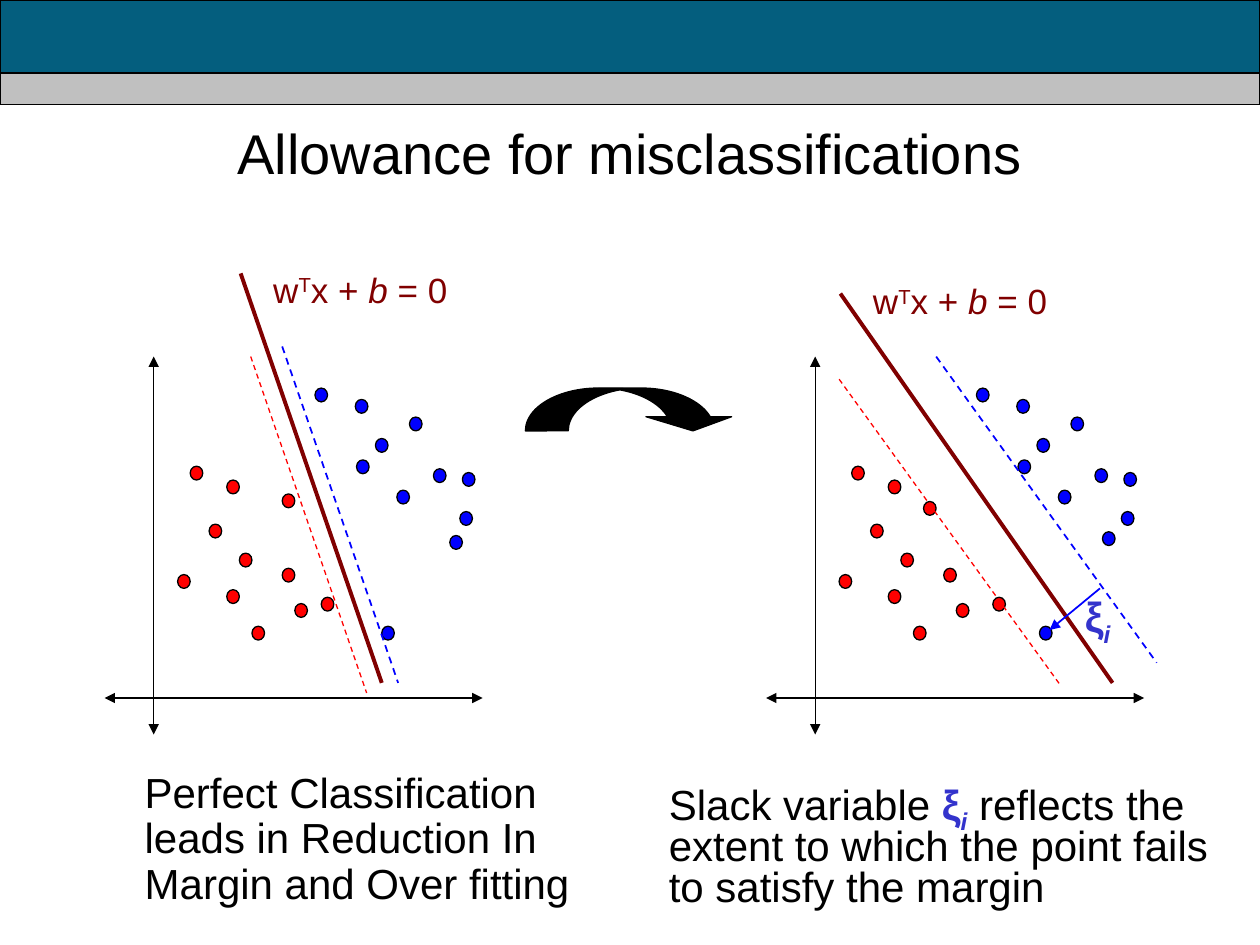
from dataclasses import dataclass

from pptx import Presentation
from pptx.dml.color import RGBColor
from pptx.enum.dml import MSO_LINE
from pptx.enum.shapes import MSO_CONNECTOR, MSO_SHAPE
from pptx.enum.text import MSO_ANCHOR, PP_ALIGN
from pptx.oxml.ns import qn
from pptx.util import Inches, Pt
from lxml import etree

RECT, OVAL, CURVE = MSO_SHAPE.RECTANGLE, MSO_SHAPE.OVAL, MSO_SHAPE.CURVED_DOWN_ARROW
LEFT, MID, RIGHT = PP_ALIGN.LEFT, PP_ALIGN.CENTER, PP_ALIGN.RIGHT
DASH, LINE = MSO_LINE.DASH, MSO_CONNECTOR.STRAIGHT
TOP, CENTER = MSO_ANCHOR.TOP, MSO_ANCHOR.MIDDLE
COLS, ROWS = 100, 75


@dataclass(frozen=True)
class Theme:
    font: str = "Arial"
    ink: str = "000000"
    teal: str = "045E7E"
    gray: str = "C0C0C0"
    red: str = "FF0000"
    blue: str = "0000FF"
    wine: str = "800000"
    slack: str = "3333CC"
    title: int = 32
    body: int = 24
    math: int = 20
    thin: float = 0.75
    mid: float = 1
    bold: float = 2.25


class Deck:
    def __init__(self, theme):
        self.theme = theme
        self.file = Presentation()
        self.file.slide_width = Inches(10)
        self.file.slide_height = Inches(7.5)
        self.page = self.file.slides.add_slide(self.file.slide_layouts[6])

    def grid(self, x, y):
        return (round(x * self.file.slide_width / COLS),
                round(y * self.file.slide_height / ROWS))

    def shape(self, kind, x, y, w, h, fill, ratios=()):
        item = self.page.shapes.add_shape(kind, *self.grid(x, y), *self.grid(w, h))
        item.shadow.inherit = False
        item.fill.solid()
        item.fill.fore_color.rgb = RGBColor.from_string(fill)
        item.line.color.rgb = RGBColor.from_string(self.theme.ink)
        item.line.width = Pt(self.theme.thin)
        for i, ratio in enumerate(ratios):
            item.adjustments[i] = ratio

    def dots(self, spots, shift, fill):
        for x, y in spots:
            self.shape(OVAL, x + shift, y, 1, 1.1, fill)

    def line(self, start, end, color, width, dash=None, ends=()):
        item = self.page.shapes.add_connector(LINE, *self.grid(*start), *self.grid(*end))
        item.line.color.rgb = RGBColor.from_string(color)
        item.line.width = Pt(width)
        if dash:
            item.line.dash_style = dash
        pen = item.line._get_or_add_ln()
        for end in ends:
            etree.SubElement(pen, qn(f"a:{end}"), type="triangle")
        etree.SubElement(item._element.spPr, qn("a:effectLst"))

    def text(self, x, y, w, h, runs, size, align=LEFT, anchor=TOP,
             space=1.0, indent=0.0, wrap=True):
        box = self.page.shapes.add_textbox(*self.grid(x, y), *self.grid(w, h))
        frame = box.text_frame
        frame.word_wrap = wrap
        frame.vertical_anchor = anchor
        para = frame.paragraphs[0]
        para.alignment = align
        para.line_spacing = space
        if indent:
            para._p.get_or_add_pPr().set("marL", str(self.grid(indent, 0)[0]))
        for words, color, bold, slant, base in runs:
            run = para.add_run()
            run.text = words
            font = run.font
            font.name, font.size = self.theme.font, Pt(size)
            font.bold, font.italic = bold, slant
            font.color.rgb = RGBColor.from_string(color)
            if base:
                run._r.get_or_add_rPr().set("baseline", str(base * 1000))

    def plot(self, shift, reds, blues, wall, upper, lower, label):
        t = self.theme
        both = ("headEnd", "tailEnd")
        self.line((12.2 + shift, 28.3), (12.2 + shift, 58.3), t.ink, t.thin, ends=both)
        self.line((8.3 + shift, 55.4), (38.3 + shift, 55.4), t.ink, t.thin, ends=both)
        self.dots(REDS + reds, shift, t.red)
        self.dots(BLUES + blues, shift, t.blue)
        self.line(*wall, t.wine, t.bold)
        self.line(*upper, t.blue, t.mid, DASH)
        self.line(*lower, t.red, t.thin, DASH)
        runs = [plain("w", t.wine), ("T", t.wine, False, False, 30),
                plain("x + ", t.wine), ("b", t.wine, False, True, 0),
                plain(" = 0", t.wine)]
        self.text(*label, 16.7, 4.4, runs, t.math)


def plain(words, color):
    return words, color, False, False, 0


REDS = [(15.1, 37), (16.6, 41.6), (18, 38.1), (14.1, 45.6), (19, 43.9),
        (22.4, 45.1), (18, 46.8), (23.4, 47.9), (20, 49.7)]
BLUES = [(25, 30.8), (32.5, 33.1), (28.3, 36.5), (28.2, 31.7), (31.5, 38.9),
         (29.8, 34.8), (36.5, 40.6), (36.7, 37.5), (34.4, 37.2)]


def main():
    t = Theme()
    deck = Deck(t)
    deck.shape(RECT, 0, 0, COLS, 8.3, t.teal)
    deck.shape(RECT, 0, 5.8, COLS, 2.5, t.gray)
    deck.text(7.5, 6.7, 85, 10.8, [plain("Allowance for misclassifications", t.ink)],
              t.title, MID, CENTER)

    deck.plot(52.5, [(20.8, 39.8), (26.3, 47.4)], [(35, 42.2), (30, 49.7)],
              ((66.7, 23.3), (88.3, 54.2)), ((74.3, 28.3), (91.8, 52.6)),
              ((66.6, 30.1), (84.1, 54.3)), (68.3, 21.7))
    deck.plot(0, [(22.4, 39.2), (25.5, 47.4)], [(35.7, 42.5), (30.3, 49.7)],
              ((19.1, 21.7), (30.3, 54.2)), ((22.4, 27.5), (31.6, 54.2)),
              ((19.9, 28.3), (29.1, 55)), (20.7, 20.8))

    slack = [("ξ", t.slack, True, False, 0), ("i", t.slack, True, True, -25)]
    deck.line((83.3, 50), (87.3, 46.7), t.blue, t.mid, ends=("headEnd",))
    deck.text(84.9, 46.4, 4.2, 5.6, slack, t.body, RIGHT, wrap=False)

    left = "Perfect Classification leads in Reduction In Margin and Over fitting"
    right = " reflects the extent to which the point fails to satisfy the margin"
    deck.text(6.7, 60.8, 43.3, 11.7, [plain(left, t.ink)], t.body,
              space=0.9, indent=3.8)
    deck.text(48.3, 61.7, 49.2, 11.7,
              [plain("Slack variable ", t.ink), *slack, plain(right, t.ink)],
              t.body, space=0.8, indent=3.8)
    deck.shape(CURVE, 41.7, 30.8, 16.7, 3.4, t.ink, (1, 2, 0.33))
    deck.file.save("out.pptx")


if __name__ == "__main__":
    main()
